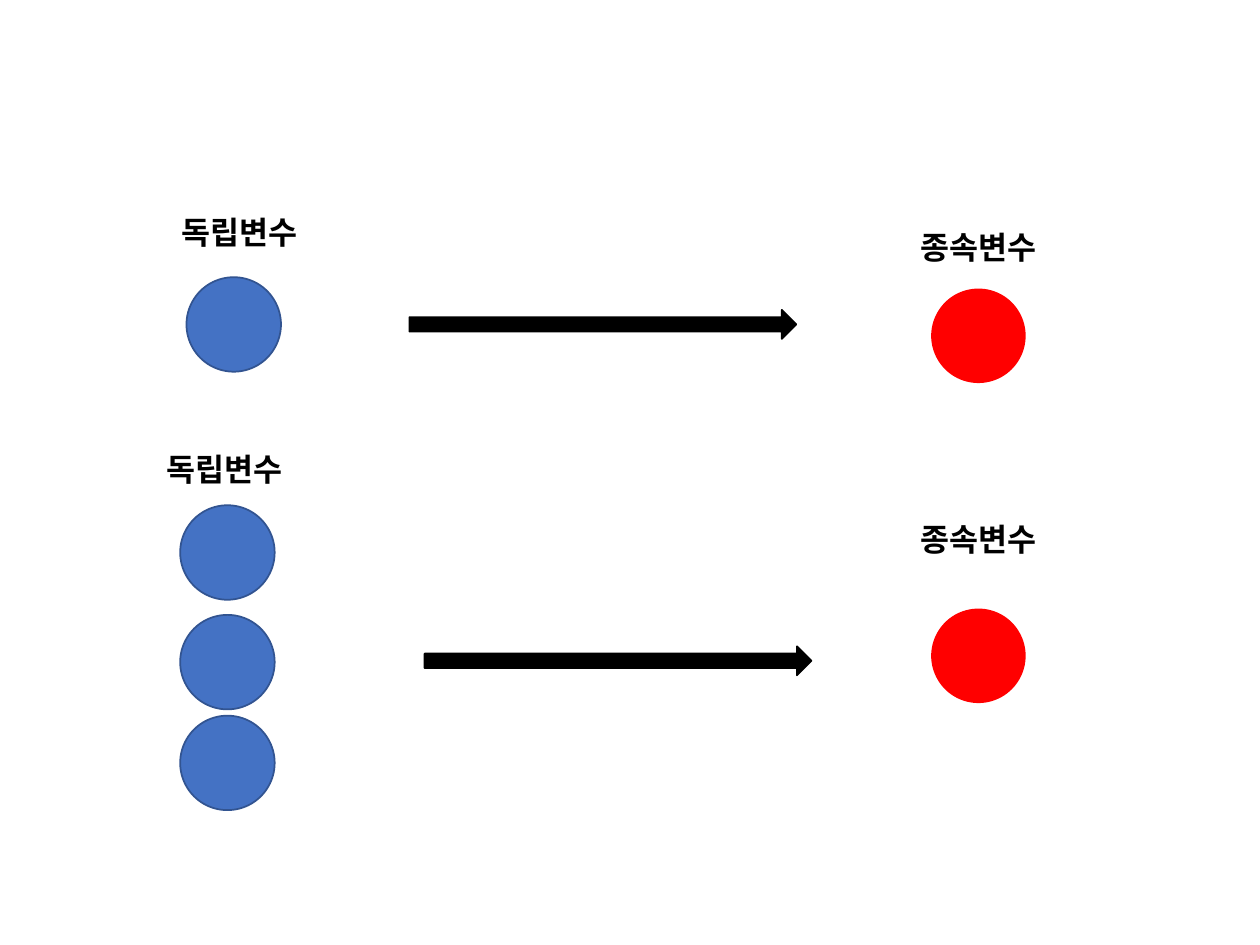
import pptx
import pptx.util
import pptx.dml.color
import pptx.enum.shapes
import pptx.enum.text
import pptx.oxml.ns
from lxml import etree

Inches = pptx.util.Inches
SHAPES = pptx.enum.shapes.MSO_SHAPE

THEME = {
    "font": "Noto Sans CJK KR",
    "label_size": 18,
    "text": "000000",
    "independent": "4472C4",
    "independent_line": "325491",
    "dependent": "FF0000",
    "arrow": "000000",
}

CIRCLE = (0.75, 0.75)
ARROW = (3.07, 0.23)
LABEL = (2.15, 0.71)

# Each model: causes point to one effect; positions are left, top in inches.
MODELS = [
    {
        "causes": [(1.48, 2.2)],
        "arrow": (3.25, 2.46),
        "effect": (7.39, 2.29),
        "labels": [("독립변수", (1.34, 1.64)), ("종속변수", (7.21, 1.76))],
    },
    {
        "causes": [(1.43, top) for top in (4.01, 4.88, 5.68)],
        "arrow": (3.37, 5.13),
        "effect": (7.39, 4.83),
        "labels": [("독립변수", (1.22, 3.52)), ("종속변수", (7.21, 4.08))],
    },
]


def color(name):
    return pptx.dml.color.RGBColor.from_string(THEME[name])


def place(position, size):
    return [Inches(value) for value in (*position, *size)]


def add_filled(page, kind, position, size, fill, line=None):
    shape = page.shapes.add_shape(kind, *place(position, size))
    shape.shadow.inherit = False
    shape.fill.solid()
    shape.fill.fore_color.rgb = color(fill)
    if line:
        shape.line.color.rgb = color(line)
        shape.line.width = pptx.util.Pt(1)
    else:
        shape.line.fill.background()


def add_label(page, text, position):
    box = page.shapes.add_textbox(*place(position, LABEL))
    frame = box.text_frame
    frame.word_wrap = True
    frame.auto_size = pptx.enum.text.MSO_AUTO_SIZE.SHAPE_TO_FIT_TEXT
    frame.text = text
    font = frame.paragraphs[0].runs[0].font
    font.name = THEME["font"]
    font.size = pptx.util.Pt(THEME["label_size"])
    font.bold = True
    font.color.rgb = color("text")
    # Hangul takes its typeface from the East Asian font slot.
    properties = frame.paragraphs[0].runs[0]._r.get_or_add_rPr()
    east_asian = etree.SubElement(properties, pptx.oxml.ns.qn("a:ea"))
    east_asian.set("typeface", THEME["font"])


def main():
    deck = pptx.Presentation()
    deck.slide_width, deck.slide_height = Inches(10), Inches(7.5)
    page = deck.slides.add_slide(deck.slide_layouts[6])
    for model in MODELS:
        for position in model["causes"]:
            add_filled(page, SHAPES.OVAL, position, CIRCLE, "independent", "independent_line")
        add_filled(page, SHAPES.RIGHT_ARROW, model["arrow"], ARROW, "arrow", "arrow")
        add_filled(page, SHAPES.OVAL, model["effect"], CIRCLE, "dependent")
        for text, position in model["labels"]:
            add_label(page, text, position)
    deck.save("out.pptx")


if __name__ == "__main__":
    main()
